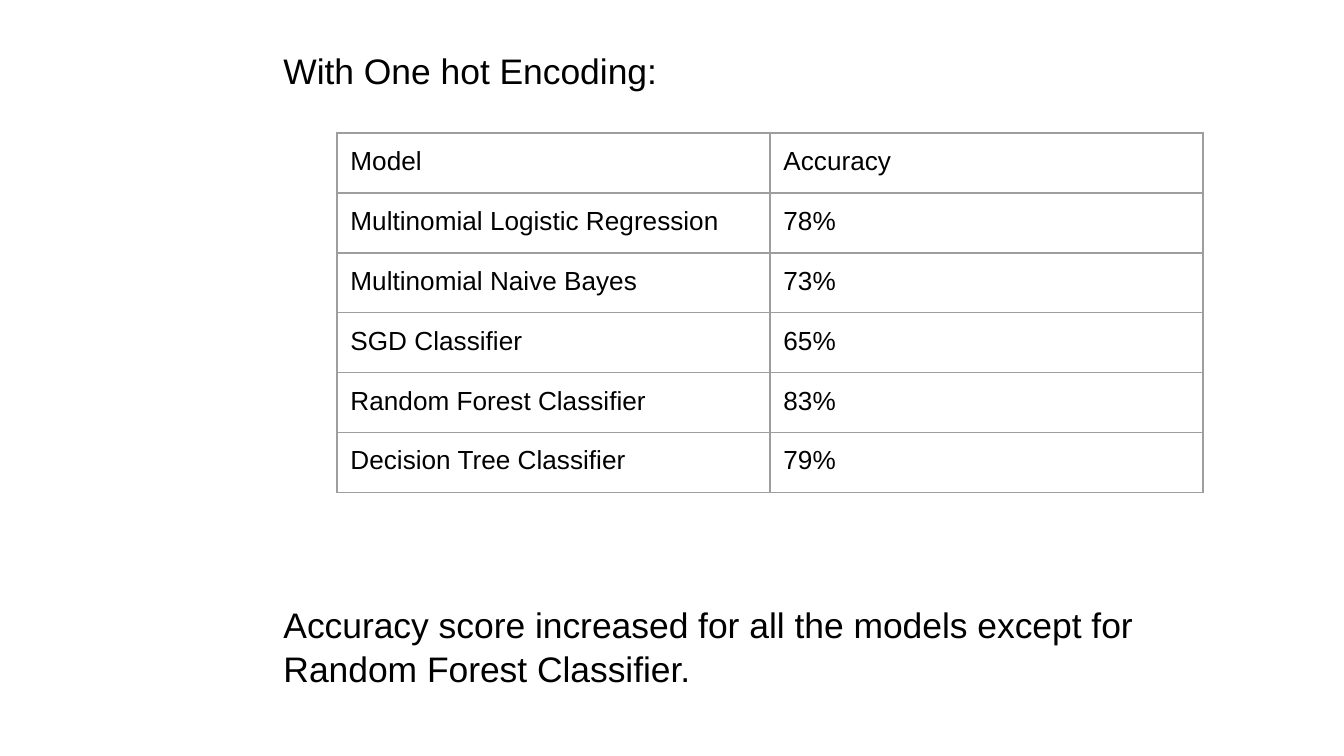
import pptx
import pptx.dml.color
import pptx.enum.text
import pptx.oxml
import pptx.oxml.ns
import pptx.util

PX = 6803.57  # EMU per px, at 134.4 px to the inch
MODELS = [
    ("Model", "Accuracy"),
    ("Multinomial Logistic Regression", "78%"),
    ("Multinomial Naive Bayes", "73%"),
    ("SGD Classifier", "65%"),
    ("Random Forest Classifier", "83%"),
    ("Decision Tree Classifier", "79%"),
]
COL_W, ROW_H = 433, 60


def px(n):
    return pptx.util.Emu(round(n * PX))


def set_font(p, size, color="000000"):
    p.font.name = "Arial"
    p.font.size = pptx.util.Pt(size)
    p.font.color.rgb = pptx.dml.color.RGBColor.from_string(color)


prs = pptx.Presentation()
prs.slide_width, prs.slide_height = px(1344), px(756)
s = prs.slides.add_slide(prs.slide_layouts[5])

# Heading above the table and conclusion below it
title = s.shapes.title
title.left, title.top, title.width, title.height = px(270), px(31), px(1007), px(675)
tf = title.text_frame
tf.word_wrap = True
tf.auto_size = pptx.enum.text.MSO_AUTO_SIZE.NONE
tf.vertical_anchor = pptx.enum.text.MSO_ANCHOR.MIDDLE
tf.text = ("With One hot Encoding:\n"
           "Accuracy score increased for all the models except for Random Forest Classifier.")
for p in tf.paragraphs:
    p.alignment = pptx.enum.text.PP_ALIGN.LEFT
    p.line_spacing = 1.04
    set_font(p, 19)
tf.paragraphs[1].space_before = pptx.util.Pt(273)

# Accuracy table
table = s.shapes.add_table(len(MODELS), 2, px(337), px(133),
                           px(2 * COL_W), px(len(MODELS) * ROW_H)).table
table.first_row = table.horz_banding = False
for col in table.columns:
    col.width = px(COL_W)
for row, texts in zip(table.rows, MODELS):
    row.height = px(ROW_H)
    for cell, text in zip(row.cells, texts):
        cell.text = text
        set_font(cell.text_frame.paragraphs[0], 14)
        cell.margin_left = cell.margin_right = pptx.util.Inches(0.1)
        cell.margin_top = cell.margin_bottom = pptx.util.Inches(0.1)
        tc_pr = cell._tc.get_or_add_tcPr()
        for side in ("lnL", "lnR", "lnT", "lnB"):
            tc_pr.append(pptx.oxml.parse_xml(
                f'<a:{side} {pptx.oxml.ns.nsdecls("a")} w="9525"><a:solidFill>'
                f'<a:srgbClr val="9E9E9E"/></a:solidFill></a:{side}>'))
        cell.fill.background()

prs.save("out.pptx")
